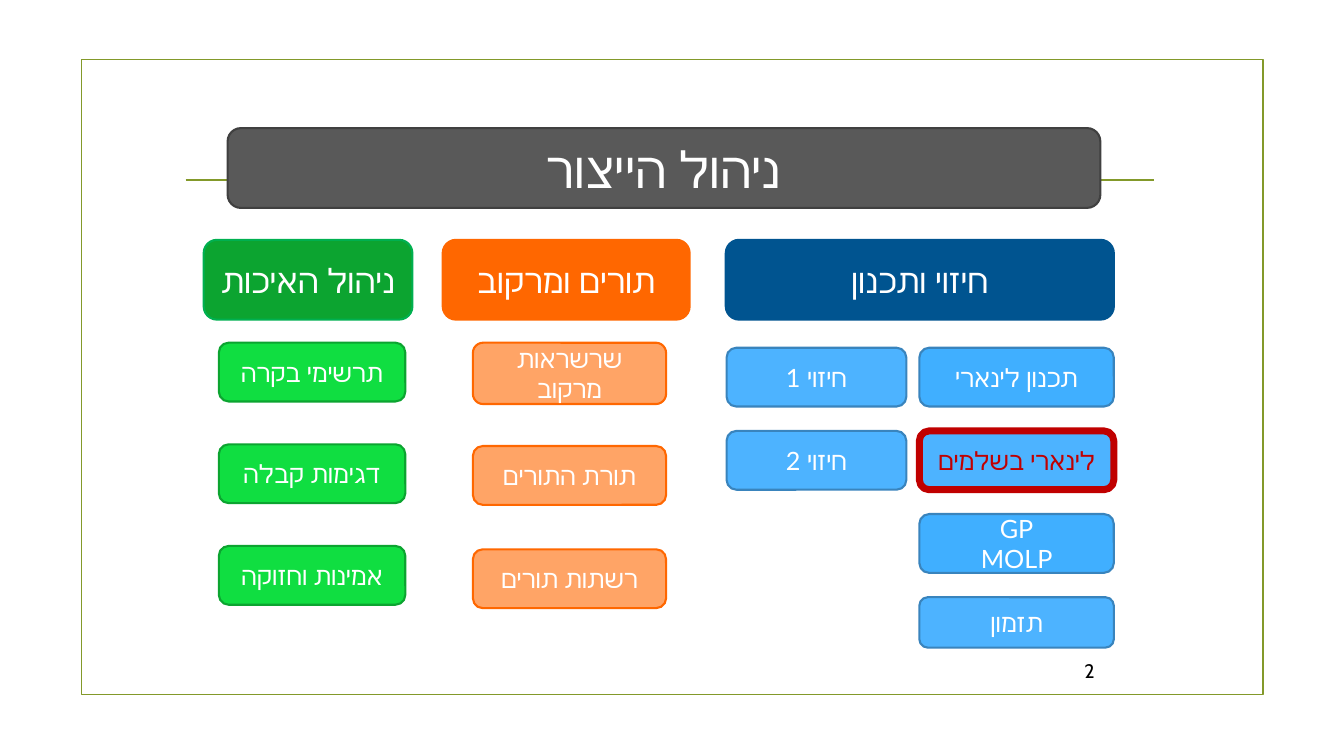
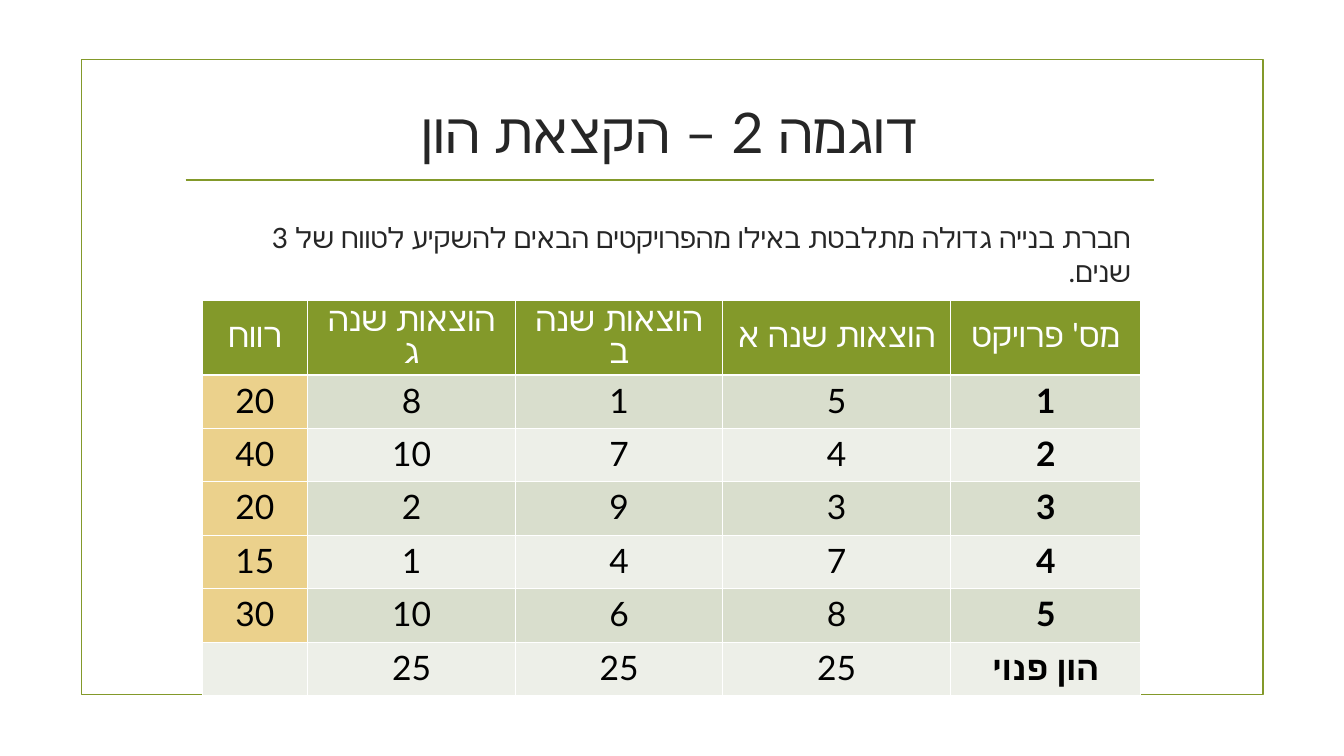
"""Builds two Hebrew slides on production management: a topic map and a capital allocation table."""
from lxml.etree import SubElement
from pptx import Presentation
from pptx.dml.color import RGBColor
from pptx.enum.shapes import MSO_CONNECTOR as Connector, MSO_SHAPE as Shape
from pptx.enum.text import MSO_ANCHOR as Anchor, PP_ALIGN as Align
from pptx.oxml.ns import qn
from pptx.util import Inches, Pt

WHITE = RGBColor(0xFF, 0xFF, 0xFF)
BLACK = RGBColor(0x00, 0x00, 0x00)
INK = RGBColor(0x26, 0x26, 0x26)
OLIVE = RGBColor(0x83, 0x99, 0x2A)
RED = RGBColor(0xC0, 0x00, 0x00)
GRAY = RGBColor(0x59, 0x59, 0x59)
DARK_GRAY = RGBColor(0x40, 0x40, 0x40)
ORANGE = RGBColor(0xFF, 0x67, 0x00)
PEACH = RGBColor(0xFF, 0xA4, 0x66)
GREEN = RGBColor(0x0C, 0xA4, 0x30)
GREEN_EDGE = RGBColor(0x00, 0xB0, 0x50)
LIME = RGBColor(0x10, 0xDE, 0x41)
NAVY = RGBColor(0x00, 0x54, 0x90)
SKY = RGBColor(0x4D, 0xB3, 0xFF)
BRIGHT_SKY = RGBColor(0x40, 0xAF, 0xFF)
SKY_EDGE = RGBColor(0x39, 0x84, 0xBD)
GOLD = RGBColor(0xEB, 0xD1, 0x8C)
BAND_DARK = RGBColor(0xD9, 0xDE, 0xCD)
BAND_LIGHT = RGBColor(0xED, 0xEF, 0xE8)

SANS, SERIF, NUMBER = "Lato", "Times New Roman", "Cabin"

deck = Presentation()
deck.slide_width, deck.slide_height = Inches(13.333), Inches(7.5)
CELL = deck.slide_height / 90


def grid(*counts):
    return [round(count * CELL) for count in counts]


def write(frame, text, size, color, font=SANS, align=Align.CENTER, rtl=True, bold=False):
    frame.text = text
    frame.word_wrap = True
    for para in frame.paragraphs:
        para.alignment = align
        if rtl:
            para._p.get_or_add_pPr().set("rtl", "1")
        for span in para.runs:
            span.font.size, span.font.bold = Pt(size), bold
            span.font.color.rgb = color
            span.font.name = font
            SubElement(span._r.get_or_add_rPr(), qn("a:cs")).set("typeface", SANS)


pages = []
for _ in range(2):
    page = deck.slides.add_slide(deck.slide_layouts[6])
    border = page.shapes.add_shape(Shape.RECTANGLE, *grid(9.7, 7.1, 140.7, 75.6))
    border.shadow.inherit = False
    border.fill.background()
    rule = page.shapes.add_connector(Connector.STRAIGHT, *grid(22.1, 21.4, 137.4, 21.4))
    SubElement(rule._element.spPr, qn("a:effectLst"))
    for item in (border, rule):
        item.line.color.rgb, item.line.width = OLIVE, Pt(1.25)
    pages.append(page)
topic_page, example_page = pages

number = topic_page.shapes.add_textbox(*grid(126.1, 78.1, 7.2, 3.6))
number.text_frame.vertical_anchor = Anchor.MIDDLE
write(number.text_frame, "2", 14, BLACK, NUMBER, rtl=False)

tiles = [
    (27.1, 15.25, 103.9, 9.5, "ניהול הייצור", 36, GRAY, DARK_GRAY),
    (52.7, 28.55, 29.4, 9.5, "תורים ומרקוב", 24, ORANGE, ORANGE),
    (24.25, 28.55, 24.85, 9.5, "ניהול האיכות", 24, GREEN, GREEN_EDGE),
    (86.4, 28.55, 46.2, 9.5, "חיזוי ותכנון", 24, NAVY, NAVY),
]
stacks = [
    (86.5, 41.4, 21.4, 9.9, SKY_EDGE,
     [("חיזוי 1", 7, SKY), ("חיזוי 2", 7, SKY)]),
    (109.45, 41.4, 23.15, 9.9, SKY_EDGE,
     [("תכנון לינארי", 7, BRIGHT_SKY), ("לינארי בשלמים", 7, SKY),
      ("GP\nMOLP", 7, BRIGHT_SKY), ("תזמון", 6, SKY)]),
    (56.3, 40.8, 23, 12.3, ORANGE,
     [("שרשראות מרקוב", 7.3, PEACH), ("תורת התורים", 7, PEACH), ("רשתות תורים", 7, PEACH)]),
    (26.05, 40.8, 22.2, 12.1, GREEN,
     [("תרשימי בקרה", 7, LIME), ("דגימות קבלה", 7, LIME), ("אמינות וחזוקה", 7, LIME)]),
]
for left, top, width, step, edge, topics in stacks:
    for row, (topic, height, fill) in enumerate(topics):
        tiles.append((left, top + row * step, width, height, topic, 18, fill, edge))

for left, top, width, height, label, size, fill, edge in tiles:
    current = label == "לינארי בשלמים"
    tile = topic_page.shapes.add_shape(Shape.ROUNDED_RECTANGLE, *grid(left, top, width, height))
    tile.shadow.inherit = False
    tile.fill.solid()
    tile.fill.fore_color.rgb = fill
    tile.line.color.rgb = RED if current else edge
    tile.line.width = Pt(5 if current else 1.5)
    tile.text_frame.vertical_anchor = Anchor.MIDDLE
    write(tile.text_frame, label, size, RED if current else WHITE)

title = example_page.shapes.add_textbox(*grid(33.7, 10.8, 92.2, 9.7))
title.text_frame.vertical_anchor = Anchor.MIDDLE
write(title.text_frame, "דוגמה 2 – הקצאת הון", 40, INK, SERIF)

intro = example_page.shapes.add_textbox(*grid(24.1, 25.7, 111.7, 8.4))
write(intro.text_frame,
      "חברת בנייה גדולה מתלבטת באילו מהפרויקטים הבאים להשקיע לטווח של 3 שנים.",
      20, INK, SERIF, Align.RIGHT)

records = [
    ("רווח", "הוצאות שנה ג", "הוצאות שנה ב", "הוצאות שנה א", "מס' פרויקט"),
    ("20", "8", "1", "5", "1"),
    ("40", "10", "7", "4", "2"),
    ("20", "2", "9", "3", "3"),
    ("15", "1", "4", "7", "4"),
    ("30", "10", "6", "8", "5"),
    ("", "25", "25", "25", "הון פנוי"),
]
widths = grid(12.5, 24.8, 24.6, 27.2, 22.6)
heights = grid(8.9, *[6.36] * 6)
table = example_page.shapes.add_table(
    len(records), len(widths), *grid(24.1, 35.75), sum(widths), sum(heights)).table
for column, width in zip(table.columns, widths):
    column.width = width
for row, (record, height) in enumerate(zip(records, heights)):
    table.rows[row].height = height
    for col, value in enumerate(record):
        cell = table.cell(row, col)
        header = row == 0
        fill = OLIVE if header else BAND_DARK if row % 2 else BAND_LIGHT
        if col == 0 and value and not header:
            fill = GOLD
        cell.fill.solid()
        cell.fill.fore_color.rgb = fill
        write(cell.text_frame, value, 24, WHITE if header else BLACK, SERIF,
              bold=col == 4 and not header)
        if header:
            cell.vertical_anchor = Anchor.MIDDLE
            cell.text_frame.paragraphs[0].line_spacing = 0.8

deck.save("out.pptx")
